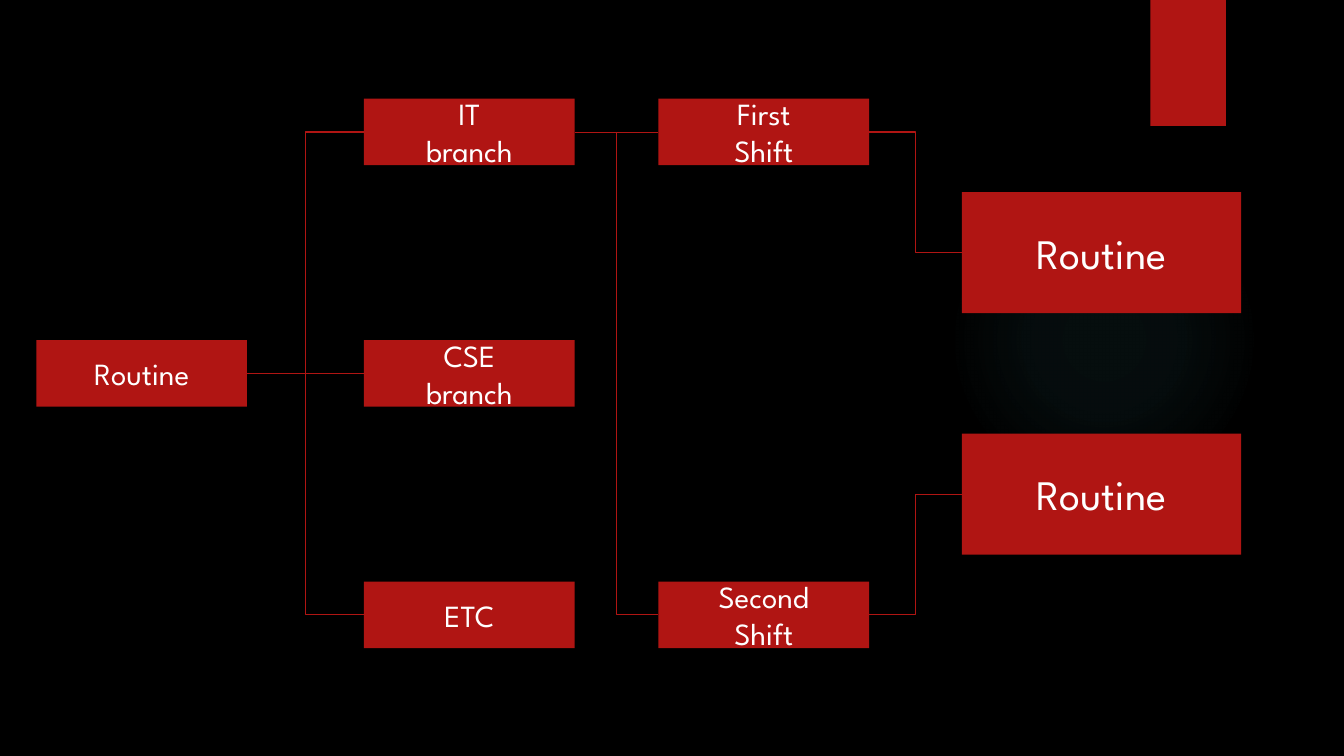
from lxml import etree
from pptx import Presentation, util as u
from pptx.dml.color import RGBColor
from pptx.enum import shapes, text
from pptx.oxml.ns import qn

RED, WHITE, BLACK, TEAL = "B01513", "FFFFFF", "000000", "50B9C1"
FONT = "League Spartan"
COLS = (0.36, 3.61, 6.53, 9.54)
TOP, STEP = 1.31, 2.395
SMALL = (2.09, 0.66, 22)
LARGE = (2.77, 1.2, 30)
STYLE = {"size": None, "name": FONT}


def shade(fill, hue):
    fill.solid()
    fill.fore_color.rgb = RGBColor.from_string(hue)


def panel(slide, kind, left, top, wide, high):
    box = slide.shapes.add_shape(kind, *map(u.Inches, (left, top, wide, high)))
    box.shadow.inherit = False
    box.line.fill.background()
    shade(box.fill, RED)
    return box


def node(slide, col, row, words, form=SMALL):
    wide, high, size = form
    mid = TOP + row * STEP
    box = panel(slide, shapes.MSO_SHAPE.RECTANGLE, COLS[col], mid - high / 2, wide, high)
    frame = box.text_frame
    frame.text = words
    frame.word_wrap = True
    frame.vertical_anchor = text.MSO_ANCHOR.MIDDLE
    for para in frame.paragraphs:
        para.alignment = text.PP_ALIGN.CENTER
        for key, value in {**STYLE, "size": u.Pt(size)}.items():
            setattr(para.font, key, value)
        shade(para.font.fill, WHITE)
    return box


def link(slide, start, end, kind=shapes.MSO_CONNECTOR.ELBOW):
    line = slide.shapes.add_connector(kind, 0, 0, 0, 0)
    line.begin_connect(start, 3)
    line.end_connect(end, 1)
    shade(line.line.fill, RED)
    line.line.width = u.Pt(0.75)
    etree.SubElement(line._element.spPr, qn("a:effectLst"))


def glow(slide):
    disc = panel(slide, shapes.MSO_SHAPE.OVAL, 9.41, 1.83, 3.08, 3.08)
    disc.fill.gradient()
    grad = disc._element.spPr.find(qn("a:gradFill"))
    for part in list(grad):
        grad.remove(part)
    stops = etree.SubElement(grad, qn("a:gsLst"))
    for place, alpha in ((0, 7), (36, 6), (69, 0)):
        stop = etree.SubElement(stops, qn("a:gs"), pos=str(place * 1000))
        hue = etree.SubElement(stop, qn("a:srgbClr"), val=TEAL)
        etree.SubElement(hue, qn("a:alpha"), val=str(alpha * 1000))
    focus = etree.SubElement(grad, qn("a:path"), path="circle")
    sides = dict.fromkeys("ltrb", "50000")
    etree.SubElement(focus, qn("a:fillToRect"), **sides)


def main():
    deck = Presentation()
    deck.slide_width, deck.slide_height = u.Inches(13.33), u.Inches(7.5)
    slide = deck.slides.add_slide(deck.slide_layouts[6])
    shade(slide.background.fill, BLACK)
    glow(slide)
    panel(slide, shapes.MSO_SHAPE.RECTANGLE, 11.41, 0, 0.75, 1.25)

    root = node(slide, 0, 1, "Routine")
    names = ("IT\nbranch", "CSE\nbranch", "ETC")
    tech, comp, rest = [node(slide, 1, row, name) for row, name in enumerate(names)]
    first = node(slide, 2, 0, "First\nShift")
    second = node(slide, 2, 2, "Second\nShift")
    early, late = [node(slide, 3, row, "Routine", LARGE) for row in (0.5, 1.5)]

    bent = ((root, tech), (root, rest), (tech, second), (first, early), (second, late))
    for start, end in bent:
        link(slide, start, end)
    for start, end in ((root, comp), (tech, first)):
        link(slide, start, end, shapes.MSO_CONNECTOR.STRAIGHT)
    deck.save("out.pptx")


main()
